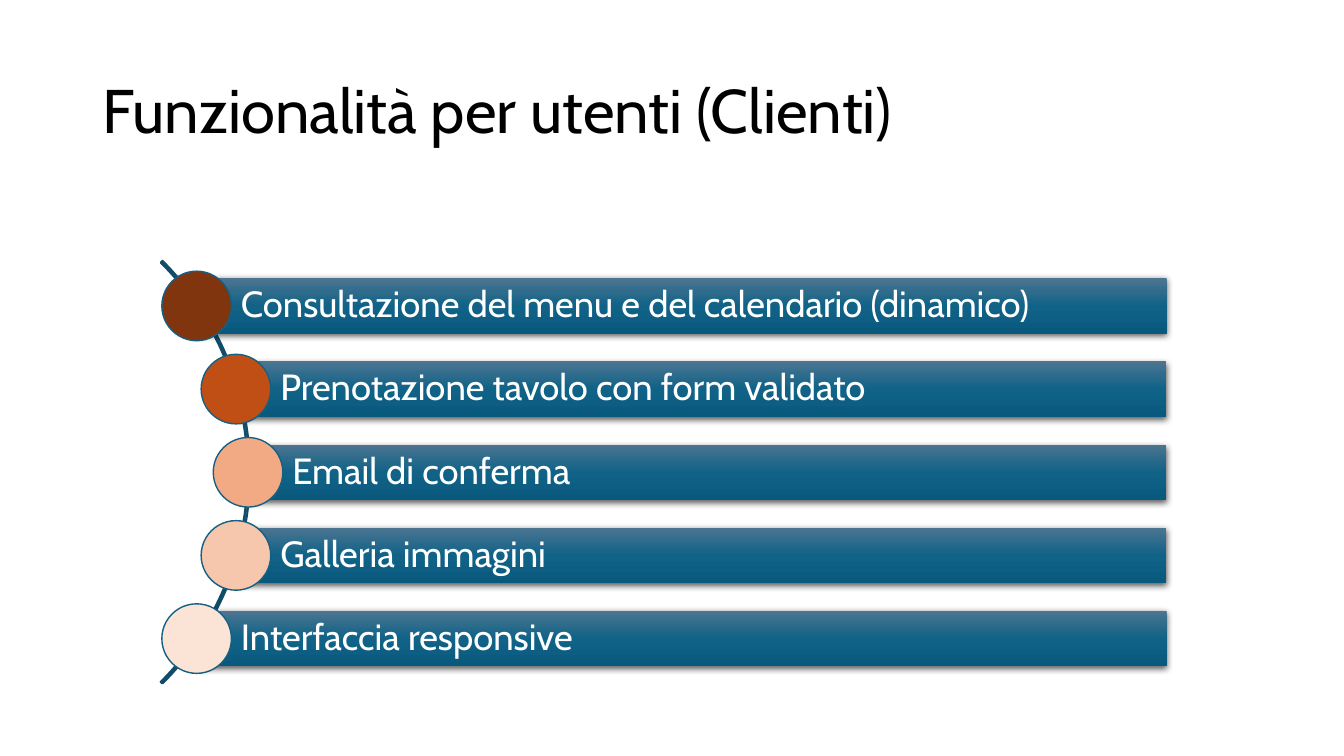
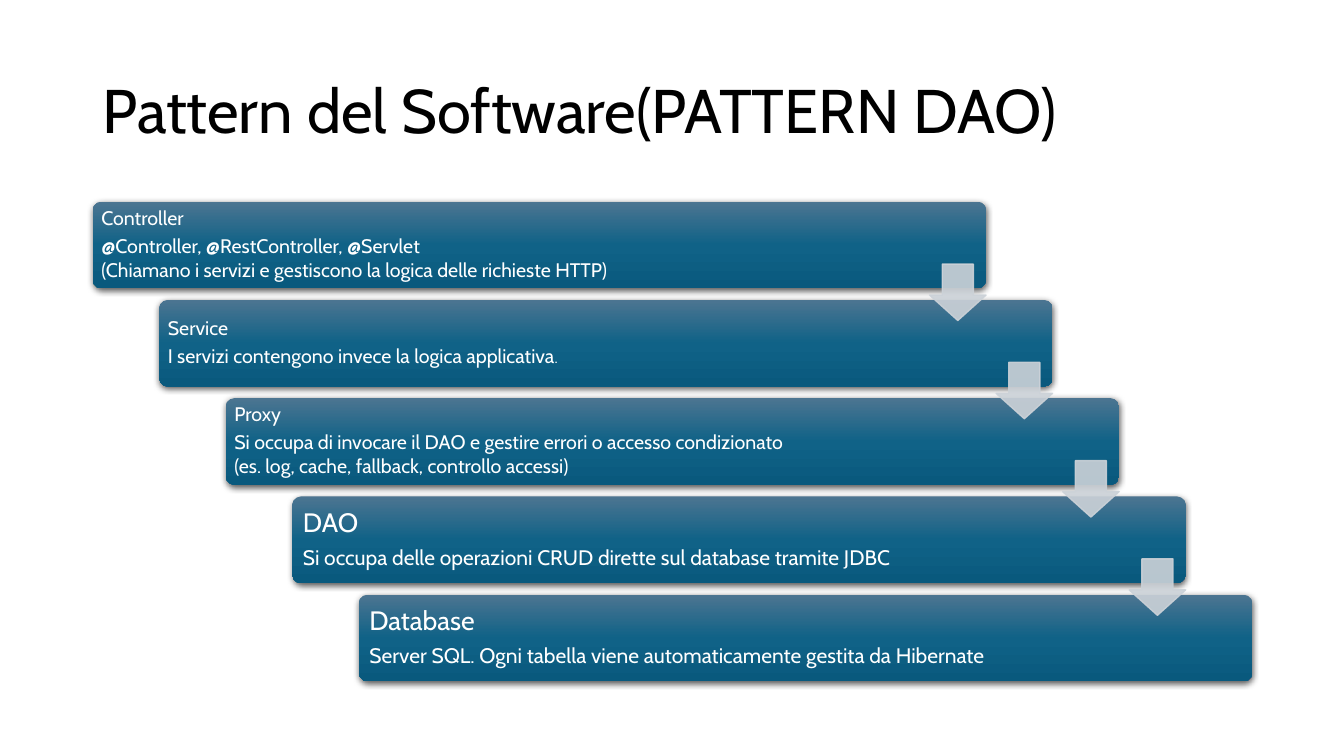
"""Build two slides: customer features and the DAO pattern layers."""
from copy import deepcopy

from lxml import etree
from pptx import Presentation
from pptx.dml.color import RGBColor
from pptx.enum.shapes import MSO_SHAPE
from pptx.enum.text import MSO_ANCHOR, PP_ALIGN
from pptx.oxml.ns import qn
from pptx.util import Inches, Pt

RECT, ROUNDED, OVAL = MSO_SHAPE.RECTANGLE, MSO_SHAPE.ROUNDED_RECTANGLE, MSO_SHAPE.OVAL
ARC, ARROW = MSO_SHAPE.BLOCK_ARC, MSO_SHAPE.DOWN_ARROW
MIDDLE, LEFT = MSO_ANCHOR.MIDDLE, PP_ALIGN.LEFT

FONT = "Cabin"
BLACK, WHITE = "000000", "FFFFFF"
ARC_LINE, DOT_LINE, ARROW_GREY = "114D68", "156082", "CCD2D8"
GRADIENT = [(0, "4C7591"), (0.5, "106287"), (1, "09597D")]

FEATURES_TITLE = "Funzionalità per utenti (Clienti)"
FEATURES = [
    ("Consultazione del menu e del calendario (dinamico)", "80350E", 1.95),
    ("Prenotazione tavolo con form validato", "C04F15", 2.34),
    ("Email di conferma", "F2AA84", 2.46),
    ("Galleria immagini", "F6C6AD", 2.34),
    ("Interfaccia responsive", "FBE3D6", 1.95),
]

LAYERS_TITLE = "Pattern del Software(PATTERN DAO)"
LAYERS = [
    ("Controller", 14, 14, 0.06, [
        ["@Controller, @RestController, @Servlet"],
        ["(Chiamano i servizi e gestiscono la logica delle richieste HTTP)"]]),
    ("Service", 14, 14, 0.06, [
        ["I servizi contengono invece la logica applicativa", (".", 11)]]),
    ("Proxy", 14, 14, 0.06, [
        ["Si occupa di invocare il DAO e gestire errori o accesso condizionato"],
        ["(es. log, cache, fallback, controllo accessi)"]]),
    ("DAO", 19, 15, 0.08, [
        ["Si occupa delle operazioni CRUD dirette sul database tramite JDBC"]]),
    ("Database", 19, 15, 0.08, [
        ["Server SQL. Ogni tabella viene automaticamente gestita da Hibernate"]]),
]


def color(value):
    return RGBColor.from_string(value)


def add_shape(slide, kind, x, y, w, h, fill=None, line=None, line_width=1):
    sp = slide.shapes.add_shape(kind, Inches(x), Inches(y), Inches(w), Inches(h))
    sp.shadow.inherit = False
    if fill:
        sp.fill.solid()
        sp.fill.fore_color.rgb = color(fill)
    else:
        sp.fill.background()
    if line:
        sp.line.color.rgb = color(line)
        sp.line.width = Pt(line_width)
    else:
        sp.line.fill.background()
    return sp


def add_panel(slide, kind, x, y, w, h):
    sp = add_shape(slide, kind, x, y, w, h)
    sp.fill.gradient()
    sp.fill.gradient_angle = 270
    properties = sp._element.spPr
    stops = properties.find(qn("a:gradFill")).find(qn("a:gsLst"))
    stops.append(deepcopy(stops[0]))
    for stop, (position, value) in zip(sp.fill.gradient_stops, GRADIENT):
        stop.position = position
        stop.color.rgb = color(value)
    shadow = etree.SubElement(
        properties.find(qn("a:effectLst")), qn("a:outerShdw"),
        blurRad=str(Pt(4.5)), dist=str(Pt(1.5)), dir="5400000", algn="ctr", rotWithShape="0")
    shade = etree.SubElement(shadow, qn("a:srgbClr"), val=BLACK)
    etree.SubElement(shade, qn("a:alpha"), val="63000")
    return sp


def set_frame(sp, inset, left=None):
    tf = sp.text_frame
    tf.word_wrap = True
    tf.vertical_anchor = MIDDLE
    tf.margin_top = tf.margin_right = tf.margin_bottom = Inches(inset)
    tf.margin_left = Inches(inset if left is None else left)
    return tf


def write(p, runs, size, value=WHITE, after=0):
    p.alignment = LEFT
    p.line_spacing = 0.9
    p.space_after = Pt(size * after)
    p.font.name = FONT
    p.font.size = Pt(size)
    p.font.color.rgb = color(value)
    for run in runs:
        r = p.add_run()
        if isinstance(run, tuple):
            r.text = run[0]
            r.font.size = Pt(run[1])
        else:
            r.text = run


def add_slide(prs, title):
    slide = prs.slides.add_slide(prs.slide_layouts[6])
    box = slide.shapes.add_textbox(Inches(0.92), Inches(0.4), Inches(11.5), Inches(1.45))
    write(set_frame(box, 0.05, 0.1).paragraphs[0], [title], 44, BLACK)
    return slide


def build_features(prs):
    slide = add_slide(prs, FEATURES_TITLE)
    arc = add_shape(slide, ARC, -3.45, 1.72, 5.93, 5.93, line=ARC_LINE, line_width=1.5)
    for i, value in enumerate((189, 27, 0.004)):
        arc.adjustments[i] = value
    right, bar_h, dot, pitch = 11.57, 0.55, 0.69, 0.825
    for i, (text, fill, x) in enumerate(FEATURES):
        middle = 3.035 + i * pitch
        bar = add_panel(slide, RECT, x, middle - bar_h / 2, right - x, bar_h)
        write(set_frame(bar, 0.07, 0.44).paragraphs[0], [text], 26, after=0.35)
        add_shape(slide, OVAL, x - dot / 2, middle - dot / 2, dot, dot, fill, DOT_LINE)


def build_layers(prs):
    slide = add_slide(prs, LAYERS_TITLE)
    width, height, arrow_size = 8.86, 0.86, 0.56
    places = [(0.92 + i * 0.66, 2 + i * 0.975) for i in range(len(LAYERS))]
    for (x, y), (name, name_size, size, inset, lines) in zip(places, LAYERS):
        panel = add_panel(slide, ROUNDED, x, y, width, height)
        panel.adjustments[0] = 0.1
        tf = set_frame(panel, inset)
        write(tf.paragraphs[0], [name], name_size, after=0.35)
        for runs in lines:
            write(tf.add_paragraph(), runs, size, after=0.15)
    for x, y in places[:-1]:
        arrow = add_shape(slide, ARROW, x + width - arrow_size, y + 0.62,
                          arrow_size, arrow_size, ARROW_GREY, ARROW_GREY)
        arrow.adjustments[0] = 0.55
        arrow.adjustments[1] = 0.45
        for tint in arrow._element.spPr.iter(qn("a:srgbClr")):
            etree.SubElement(tint, qn("a:alpha"), val="90000")


def main():
    prs = Presentation()
    prs.slide_width, prs.slide_height = Inches(13.33), Inches(7.5)
    build_features(prs)
    build_layers(prs)
    prs.save("out.pptx")


if __name__ == "__main__":
    main()
